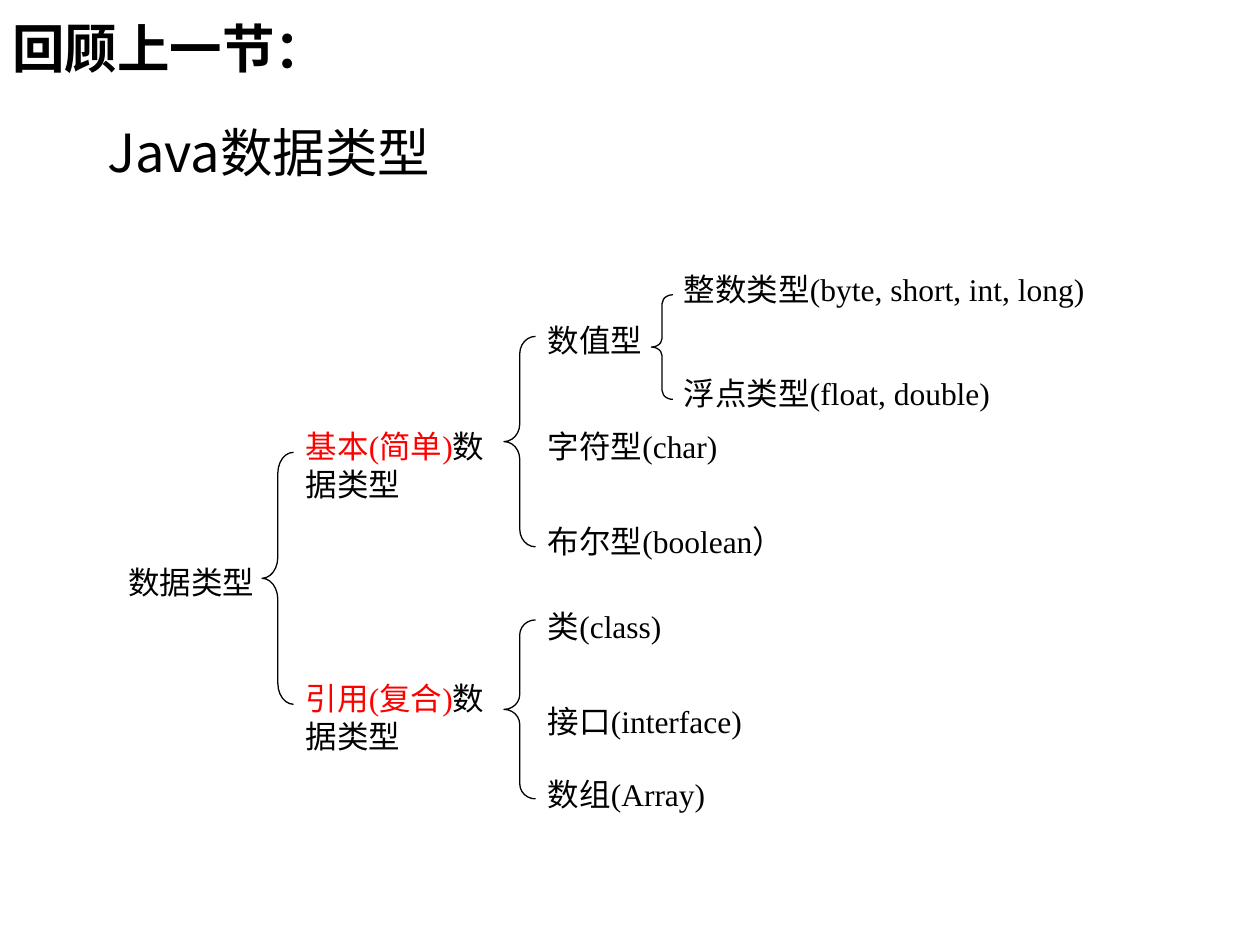
from pptx import Presentation
from pptx.util import Inches, Pt
from pptx.dml.color import RGBColor as RGB
from pptx.enum.shapes import MSO_SHAPE as Shape
from pptx.enum.text import MSO_ANCHOR as Anchor, MSO_AUTO_SIZE as Fit, PP_ALIGN as Align
from pptx.oxml.ns import qn
from lxml import etree

COLORS = {"ink": "000000", "key": "FF0000"}
SANS, SERIF = "Noto Sans CJK SC", "Times New Roman"

deck = Presentation()
deck.slide_width, deck.slide_height = Inches(10), Inches(7.5)
slide = deck.slides.add_slide(deck.slide_layouts[5])


def write(box, text, key="", size=18, font=SERIF, bold=False, anchor=Anchor.TOP, fit=Fit.NONE):
    """Fill a box with an optional red key phrase followed by black text."""
    frame = box.text_frame
    frame.word_wrap = True
    frame.auto_size = fit
    frame.vertical_anchor = anchor
    para = frame.paragraphs[0]
    para.alignment = Align.LEFT
    for part, color in ((key, "key"), (text, "ink")):
        if not part:
            continue
        run = para.add_run()
        run.text = part
        run.font.size, run.font.bold, run.font.name = Pt(size), bold, font
        run.font.color.rgb = RGB.from_string(COLORS[color])
        # East Asian typeface
        asian = etree.SubElement(run.font._element, qn("a:ea"))
        asian.set("typeface", SANS)


# Title and section heading
title = slide.shapes.title
title.left, title.top = Inches(0.75), Inches(0.83)
title.width, title.height = Inches(8.5), Inches(0.75)
write(title, "Java数据类型", size=30, font=SANS, anchor=Anchor.MIDDLE)

head = slide.shapes.add_textbox(0, 0, Inches(8.5), Inches(0.75))
write(head, "回顾上一节：", size=30, font=SANS, bold=True, anchor=Anchor.MIDDLE)

# Tree labels: left, top, width, height, red key, text
labels = [
    (0.92, 4.42, 1.75, 0.4, "", "数据类型"),
    (2.33, 3.34, 1.75, 0.7, "基本(简单)", "数据类型"),
    (2.33, 5.34, 1.75, 0.7, "引用(复合)", "数据类型"),
    (4.25, 2.5, 1, 0.4, "", "数值型"),
    (4.25, 3.34, 2, 0.4, "", "字符型(char)"),
    (4.25, 4.09, 2.18, 0.7, "", "布尔型(boolean）"),
    (5.33, 2.09, 3.58, 0.4, "", "整数类型(byte, short, int, long)"),
    (5.33, 2.92, 3.58, 0.4, "", "浮点类型(float, double)"),
    (4.25, 4.77, 1.67, 0.4, "", "类(class)"),
    (4.25, 5.52, 2, 0.4, "", "接口(interface)"),
    (4.25, 6.1, 2, 0.4, "", "数组(Array)"),
]
for *place, key, text in labels:
    box = slide.shapes.add_textbox(*map(Inches, place))
    write(box, text, key=key, fit=Fit.SHAPE_TO_FIT_TEXT)

# Braces: left, top, width, height; each curl is a twelfth of the height
braces = [
    (2.08, 3.59, 0.25, 2),
    (4, 2.67, 0.25, 1.67),
    (5.17, 2.34, 0.17, 0.83),
    (4, 4.92, 0.25, 1.42),
]
for left, top, width, height in braces:
    brace = slide.shapes.add_shape(
        Shape.LEFT_BRACE, Inches(left), Inches(top), Inches(width), Inches(height))
    brace.adjustments[0] = height / 12 / width
    brace.shadow.inherit = False
    brace.fill.background()
    brace.line.color.rgb = RGB.from_string(COLORS["ink"])
    brace.line.width = Pt(0.75)

deck.save("out.pptx")
